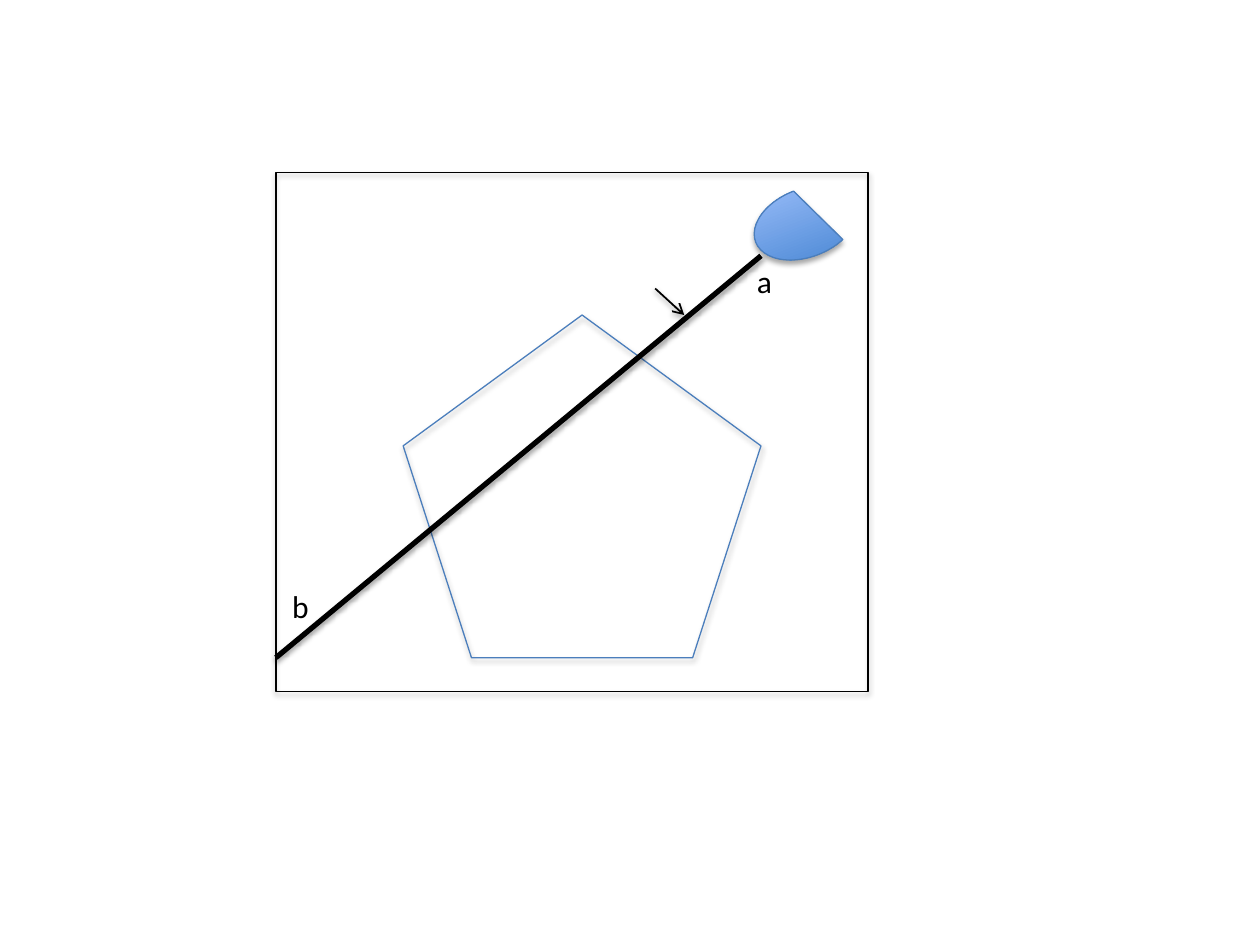
import dataclasses

import pptx
import pptx.dml.color
import pptx.enum.dml
import pptx.enum.shapes
import pptx.enum.text
import pptx.oxml
import pptx.oxml.ns
import pptx.util

Inches = pptx.util.Inches
Pt = pptx.util.Pt
SHAPE = pptx.enum.shapes.MSO_SHAPE
NS = pptx.oxml.ns.nsdecls("a")


@dataclasses.dataclass(frozen=True)
class Theme:
    ink: str = "000000"
    outline: str = "4B7EBC"
    gradient: tuple = ("3F80CE", "A4C4FF")
    font: str = "Calibri"
    label_size: int = 18
    thin: float = 0.75
    arrow: float = 1
    thick: float = 3
    shadow_blur: float = 3.1
    shape_shadow: tuple = (1.8, 35)  # distance in points, opacity in percent
    line_shadow: tuple = (1.6, 38)


def rgb(value):
    return pptx.dml.color.RGBColor.from_string(value)


class Diagram:
    def __init__(self, slide, theme):
        self.slide = slide
        self.theme = theme

    def add_shadow(self, element, distance, opacity):
        properties = element._element.spPr
        for old in properties.findall(pptx.oxml.ns.qn("a:effectLst")):
            properties.remove(old)
        properties.append(pptx.oxml.parse_xml(
            f'<a:effectLst {NS}><a:outerShdw blurRad="{Pt(self.theme.shadow_blur)}" '
            f'dist="{Pt(distance)}" dir="5400000" rotWithShape="0">'
            f'<a:srgbClr val="{self.theme.ink}"><a:alpha val="{opacity * 1000}"/>'
            '</a:srgbClr></a:outerShdw></a:effectLst>'))

    def set_line(self, line, color, width):
        line.color.rgb = rgb(color)
        line.width = Pt(width)

    def shape(self, kind, box, color, gradient=None, rotation=0):
        shape = self.slide.shapes.add_shape(kind, *map(Inches, box))
        shape.rotation = rotation
        if gradient:
            shape.fill.gradient()
            shape.fill.gradient_angle = 90
            for stop, stop_color, position in zip(shape.fill.gradient_stops, gradient, (0, 1)):
                stop.color.rgb = rgb(stop_color)
                stop.position = position
        else:
            shape.fill.background()
        self.set_line(shape.line, color, self.theme.thin)
        self.add_shadow(shape, *self.theme.shape_shadow)

    def line(self, start, end, width, arrow=False):
        connector = self.slide.shapes.add_connector(
            pptx.enum.shapes.MSO_CONNECTOR.STRAIGHT, *map(Inches, start + end))
        self.set_line(connector.line, self.theme.ink, width)
        if arrow:
            connector.line._get_or_add_ln().append(
                pptx.oxml.parse_xml(f'<a:tailEnd {NS} type="arrow"/>'))
        self.add_shadow(connector, *self.theme.line_shadow)

    def label(self, text, box):
        frame = self.slide.shapes.add_textbox(*map(Inches, box)).text_frame
        frame_format = {"word_wrap": True,
                        "auto_size": pptx.enum.text.MSO_AUTO_SIZE.SHAPE_TO_FIT_TEXT}
        for name, value in frame_format.items():
            setattr(frame, name, value)
        run = frame.paragraphs[0].add_run()
        run.text = text
        for name, value in {"name": self.theme.font, "size": Pt(self.theme.label_size)}.items():
            setattr(run.font, name, value)
        run.font.color.rgb = rgb(self.theme.ink)


def main():
    deck = pptx.Presentation()
    deck.slide_width, deck.slide_height = Inches(10), Inches(7.5)
    theme = Theme()
    diagram = Diagram(deck.slides.add_slide(deck.slide_layouts[6]), theme)

    # Pentagon cut by the line from b to a
    diagram.shape(SHAPE.REGULAR_PENTAGON, (3.2, 2.5, 2.84, 2.72), theme.outline)
    diagram.line((2.19, 5.22), (6.04, 2.03), theme.thick)

    # Labels of the line's ends
    diagram.label("a", (5.91, 2.03, 0.56, 0.4))
    diagram.label("b", (2.22, 4.61, 0.38, 0.4))

    # Arrow pointing at the line, and the viewer at its upper end
    diagram.line((5.2, 2.29), (5.43, 2.5), theme.arrow, arrow=True)
    diagram.shape(SHAPE.CHORD, (5.97, 1.5, 0.85, 0.54), theme.outline,
                  theme.gradient, rotation=339.1)

    # Frame around the scene
    diagram.shape(SHAPE.RECTANGLE, (2.19, 1.37, 4.7, 4.12), theme.ink)

    deck.save("out.pptx")


if __name__ == "__main__":
    main()
